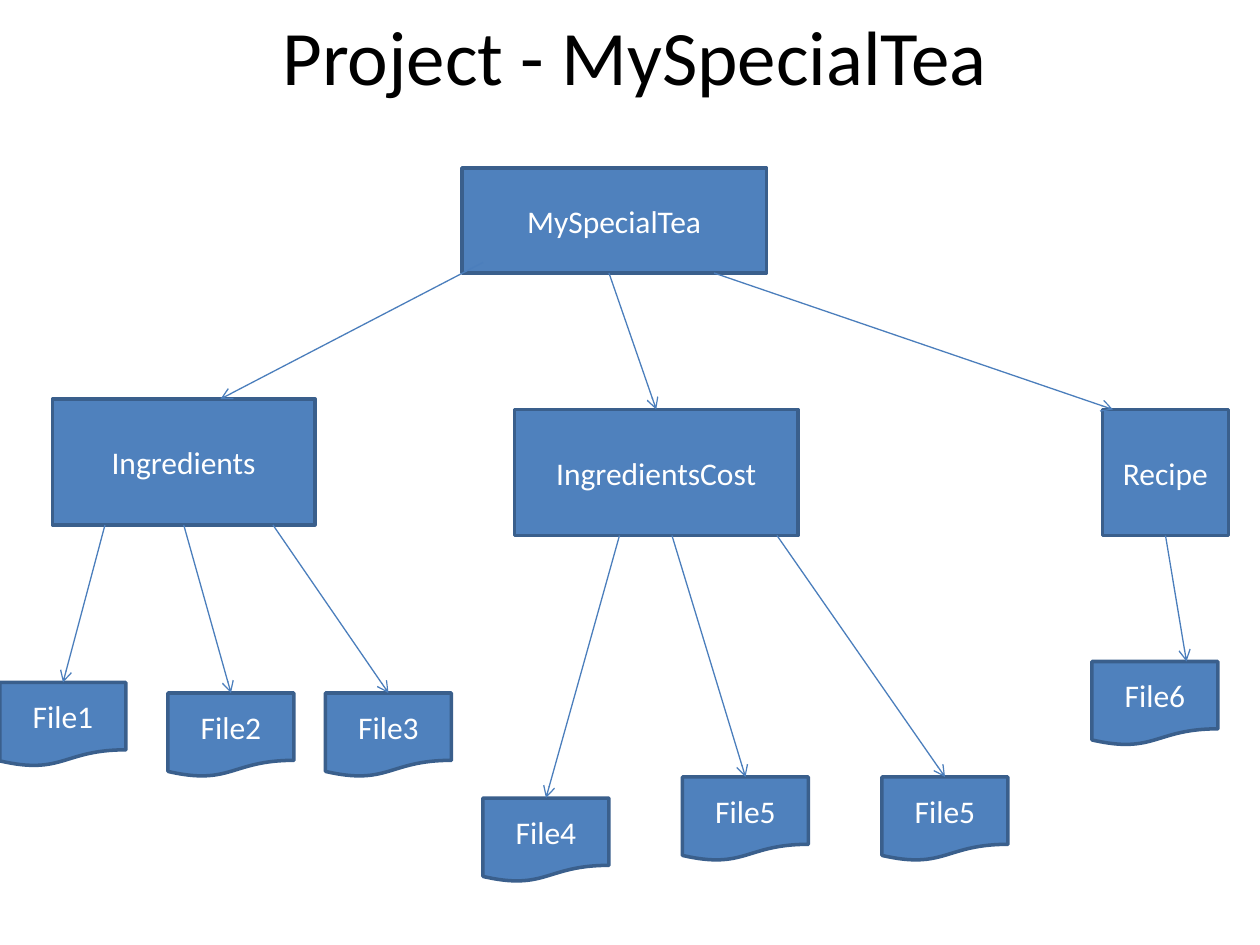
from dataclasses import dataclass
from typing import Optional

from lxml.etree import SubElement
from pptx import Presentation
from pptx.dml.color import RGBColor
from pptx.enum.shapes import MSO_CONNECTOR as Link, MSO_SHAPE as Shape
from pptx.enum.text import MSO_ANCHOR as Anchor, PP_ALIGN as Align
from pptx.oxml.ns import qn
from pptx.util import Emu, Pt

PX = 9525  # 96 px to the inch
FONT = "Calibri"
FILL, EDGE, ARROW = "4F81BD", "3A5F8C", "4B7EBC"
WHITE, BLACK = "FFFFFF", "000000"


@dataclass
class Node:
    label: str
    left: int
    top: int
    width: int = 96
    height: int = 64
    shape: Shape = Shape.FLOWCHART_DOCUMENT
    start: Optional[tuple[int, int]] = None  # where the arrow leaves the parent
    tip: Optional[int] = None  # x of the arrow tip, the centre if not given


def px(length: int) -> Emu:
    return Emu(length * PX)


def rgb(colour: str) -> RGBColor:
    return RGBColor.from_string(colour)


def write(box, text: str, size: int, colour: str) -> None:
    frame = box.text_frame
    frame.word_wrap = True
    frame.vertical_anchor = Anchor.MIDDLE
    para = frame.paragraphs[0]
    para.alignment = Align.CENTER
    span = para.add_run()
    span.text = text
    span.font.name = FONT
    span.font.size = Pt(size)
    span.font.color.rgb = rgb(colour)


def draw_node(page, node: Node) -> None:
    box = page.shapes.add_shape(node.shape, px(node.left), px(node.top),
                                px(node.width), px(node.height))
    box.shadow.inherit = False
    box.fill.solid()
    box.fill.fore_color.rgb = rgb(FILL)
    box.line.color.rgb = rgb(EDGE)
    box.line.width = Pt(2)
    write(box, node.label, 18, WHITE)


def draw_arrow(page, node: Node) -> None:
    x, y = node.start
    tip = node.left + node.width // 2 if node.tip is None else node.tip
    arrow = page.shapes.add_connector(Link.STRAIGHT, px(x), px(y), px(tip), px(node.top))
    arrow.line.color.rgb = rgb(ARROW)
    arrow.line.width = Pt(0.75)
    SubElement(arrow.line._get_or_add_ln(), qn("a:tailEnd"), type="arrow")
    SubElement(arrow._element.spPr, qn("a:effectLst"))


NODES = [
    # Project and its folders
    Node("MySpecialTea", 352, 128, 232, 80, Shape.RECTANGLE),
    Node("Ingredients", 40, 304, 200, 96, Shape.RECTANGLE, (368, 200), 168),
    Node("IngredientsCost", 392, 312, 216, 96, Shape.RECTANGLE, (464, 208)),
    Node("Recipe", 840, 312, 96, 96, Shape.RECTANGLE, (544, 208), 848),
    # Files
    Node("File1", 0, 520, start=(80, 400)),
    Node("File2", 128, 528, start=(140, 400)),
    Node("File3", 248, 528, start=(208, 400)),
    Node("File4", 368, 608, start=(472, 408)),
    Node("File5", 520, 592, start=(512, 408)),
    Node("File5", 672, 592, start=(592, 408)),
    Node("File6", 832, 504, start=(888, 408), tip=904),
]


def main() -> None:
    deck = Presentation()
    deck.slide_width, deck.slide_height = px(960), px(720)
    page = deck.slides.add_slide(deck.slide_layouts[6])

    # Title
    title = page.shapes.add_textbox(px(144), px(0), px(680), px(84))
    write(title, "Project - MySpecialTea", 44, BLACK)

    # Tree, with the arrows in front
    for node in NODES:
        draw_node(page, node)
    for node in NODES:
        if node.start:
            draw_arrow(page, node)

    deck.save("out.pptx")


if __name__ == "__main__":
    main()
